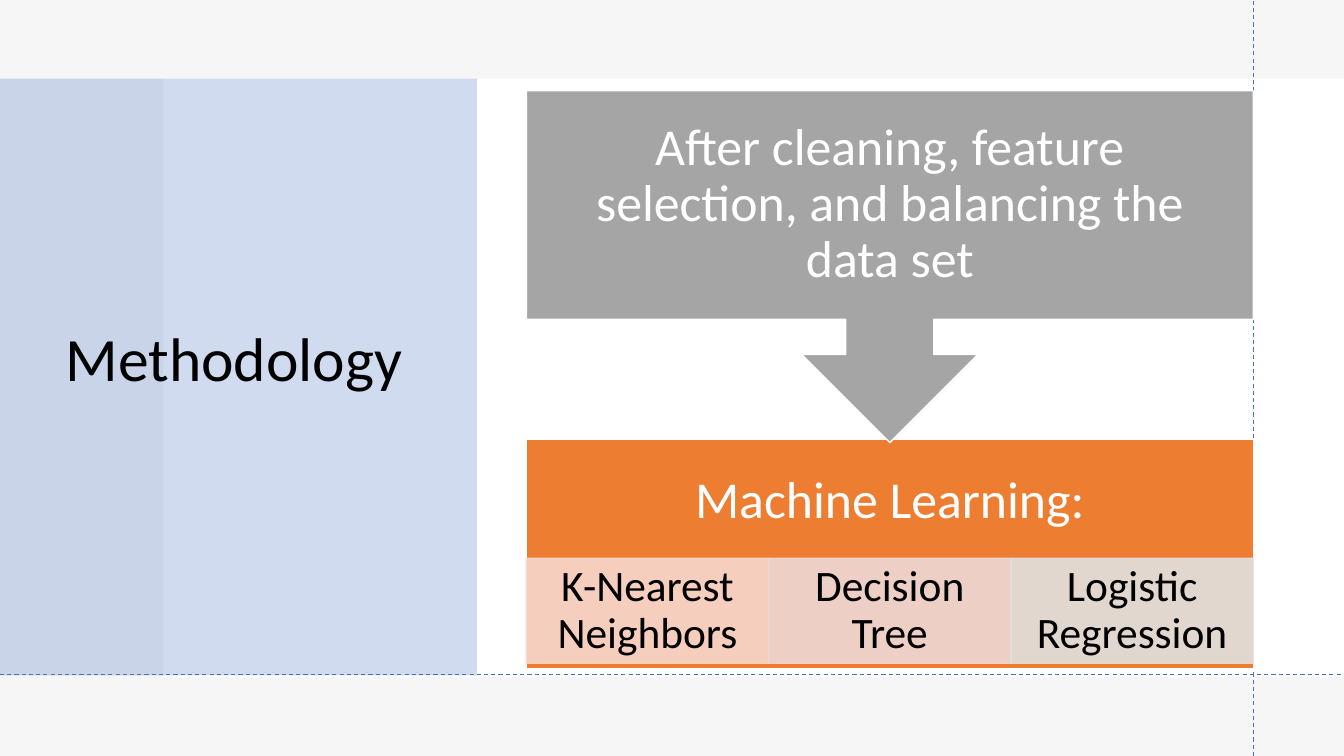
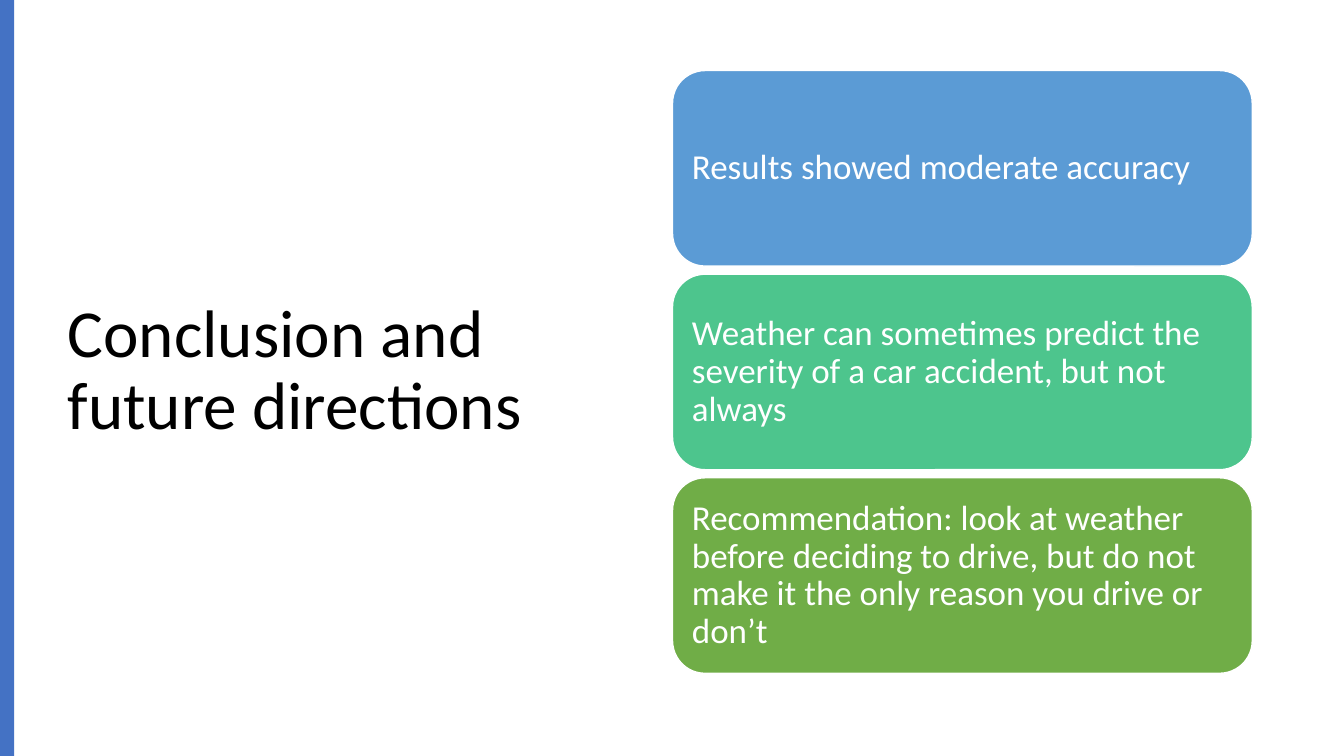
import pptx
import pptx.dml.color
import pptx.enum.dml
import pptx.enum.shapes
import pptx.enum.text
import pptx.oxml
import pptx.oxml.ns
import pptx.util

Inches = pptx.util.Inches
Pt = pptx.util.Pt
RGBColor = pptx.dml.color.RGBColor
SHAPE = pptx.enum.shapes.MSO_SHAPE
ALIGN = pptx.enum.text.PP_ALIGN

FONT = "Calibri"
WHITE = RGBColor(0xFF, 0xFF, 0xFF)
BLACK = RGBColor(0x00, 0x00, 0x00)
PALE_GRAY = RGBColor(0xE7, 0xE6, 0xE6)
GRAY = RGBColor(0xA5, 0xA5, 0xA5)
BLUE = RGBColor(0x44, 0x72, 0xC4)
SKY = RGBColor(0x5B, 0x9B, 0xD5)
MINT = RGBColor(0x4D, 0xC5, 0x8D)
GREEN = RGBColor(0x70, 0xAD, 0x47)
ORANGE = RGBColor(0xED, 0x7D, 0x31)
PEACH = RGBColor(0xF8, 0xD7, 0xCE)
ROSE = RGBColor(0xED, 0xD9, 0xD7)
SILVER = RGBColor(0xE1, 0xE1, 0xE1)

SLIDE_WIDTH = 13.33
SLIDE_HEIGHT = 7.5
LINE_SPACING = 0.9

FLOW_LEFT = 5.22
FLOW_WIDTH = 7.21
FLOW_INSET = 0.29

METHODS = [
    ("K-Nearest Neighbors", PEACH),
    ("Decision Tree", ROSE),
    ("Logistic Regression", SILVER),
]
CONCLUSIONS = [
    ("Results showed moderate accuracy", SKY),
    ("Weather can sometimes predict the severity of a car accident, but not always", MINT),
    ("Recommendation: look at weather before deciding to drive, but do not make it "
     "the only reason you drive or don’t", GREEN),
]


def set_opacity(fill_parent, percent):
    color = fill_parent.find(".//" + pptx.oxml.ns.qn("a:srgbClr"))
    alpha = pptx.oxml.parse_xml(
        f'<a:alpha {pptx.oxml.ns.nsdecls("a")} val="{percent * 1000}"/>')
    color.append(alpha)


def add_block(slide, kind, box, color, opacity=100, outline=None):
    shape = slide.shapes.add_shape(kind, *map(Inches, box))
    shape.shadow.inherit = False
    shape.fill.solid()
    shape.fill.fore_color.rgb = color
    if outline is None:
        shape.line.fill.background()
    else:
        shape.line.color.rgb = outline
        shape.line.width = Pt(1)
    if opacity < 100:
        set_opacity(shape.fill._xPr, opacity)
        if outline is not None:
            set_opacity(shape.line._ln, opacity)
    return shape


def write_text(shape, text, size, color, align, insets=(0.1, 0.05, 0.1, 0.05)):
    frame = shape.text_frame
    frame.word_wrap = True
    frame.auto_size = pptx.enum.text.MSO_AUTO_SIZE.NONE
    frame.vertical_anchor = pptx.enum.text.MSO_ANCHOR.MIDDLE
    (frame.margin_left, frame.margin_top,
     frame.margin_right, frame.margin_bottom) = map(Inches, insets)
    paragraph = frame.paragraphs[0]
    paragraph.alignment = align
    paragraph.line_spacing = LINE_SPACING
    run = paragraph.add_run()
    run.text = text
    run.font.name = FONT
    run.font.size = Pt(size)
    run.font.color.rgb = color


def add_titled_slide(presentation):
    slide = presentation.slides.add_slide(presentation.slide_layouts[5])
    slide.background.fill.solid()
    slide.background.fill.fore_color.rgb = WHITE
    return slide


def place_title(slide, text, box, size):
    title = slide.shapes.title
    title.left, title.top, title.width, title.height = map(Inches, box)
    write_text(title, text, size, BLACK, ALIGN.LEFT)
    slide.shapes._spTree.append(title._element)


def add_dashed_line(slide, start, end):
    line = slide.shapes.add_connector(
        pptx.enum.shapes.MSO_CONNECTOR.STRAIGHT, *map(Inches, start + end))
    line.line.color.rgb = BLUE
    line.line.width = Pt(0.75)
    line.line.dash_style = pptx.enum.dml.MSO_LINE.DASH
    line._element.spPr.append(
        pptx.oxml.parse_xml(f'<a:effectLst {pptx.oxml.ns.nsdecls("a")}/>'))


def build_methodology(presentation):
    slide = add_titled_slide(presentation)
    add_block(slide, SHAPE.RECTANGLE, (0, 0, SLIDE_WIDTH, SLIDE_HEIGHT), PALE_GRAY, 35)
    add_block(slide, SHAPE.RECTANGLE, (1.62, 0.78, SLIDE_WIDTH - 1.62, 5.94), WHITE)
    add_block(slide, SHAPE.RECTANGLE, (0, 0.78, 4.73, 5.92), BLUE, 25)
    place_title(slide, "Methodology", (0.55, 0.74, 3.95, 5.69), 44)

    flow_right = FLOW_LEFT + FLOW_WIDTH
    add_dashed_line(slide, (flow_right, SLIDE_HEIGHT), (flow_right, 0))
    add_dashed_line(slide, (0, 6.69), (SLIDE_WIDTH, 6.69))

    learning_height, heading_height = 2.27, 1.23
    learning = add_block(slide, SHAPE.RECTANGLE,
                         (FLOW_LEFT, 4.36, FLOW_WIDTH, learning_height),
                         ORANGE, outline=WHITE)
    bottom_inset = learning_height - heading_height + FLOW_INSET
    write_text(learning, "Machine Learning:", 37, WHITE, ALIGN.CENTER,
               (FLOW_INSET, FLOW_INSET, FLOW_INSET, bottom_inset))

    method_width = FLOW_WIDTH / len(METHODS)
    for index, (name, color) in enumerate(METHODS):
        method = add_block(slide, SHAPE.RECTANGLE,
                           (FLOW_LEFT + index * method_width, 5.54, method_width, 1.04),
                           color, 90, color)
        write_text(method, name, 31, BLACK, ALIGN.CENTER, (0.24, 0.04, 0.24, 0.04))

    preparation = add_block(slide, SHAPE.DOWN_ARROW_CALLOUT,
                            (FLOW_LEFT, 0.9, FLOW_WIDTH, 3.49), GRAY, outline=WHITE)
    write_text(preparation, "After cleaning, feature selection, and balancing the data set",
               37, WHITE, ALIGN.CENTER, (FLOW_INSET,) * 4)


def build_conclusion(presentation):
    slide = add_titled_slide(presentation)
    place_title(slide, "Conclusion and future directions", (0.57, 0.68, 5.67, 6.02), 48)
    add_block(slide, SHAPE.RECTANGLE, (0, 0, 0.14, SLIDE_HEIGHT), BLUE)
    card_height, gap = 1.94, 0.08
    for index, (text, color) in enumerate(CONCLUSIONS):
        card = add_block(slide, SHAPE.ROUNDED_RECTANGLE,
                         (6.67, 0.7 + index * (card_height + gap), 5.75, card_height),
                         color, outline=WHITE)
        write_text(card, text, 25, WHITE, ALIGN.LEFT, (0.1,) * 4)


def main():
    presentation = pptx.Presentation()
    presentation.slide_width = Inches(SLIDE_WIDTH)
    presentation.slide_height = Inches(SLIDE_HEIGHT)
    build_methodology(presentation)
    build_conclusion(presentation)
    presentation.save("out.pptx")


if __name__ == "__main__":
    main()
